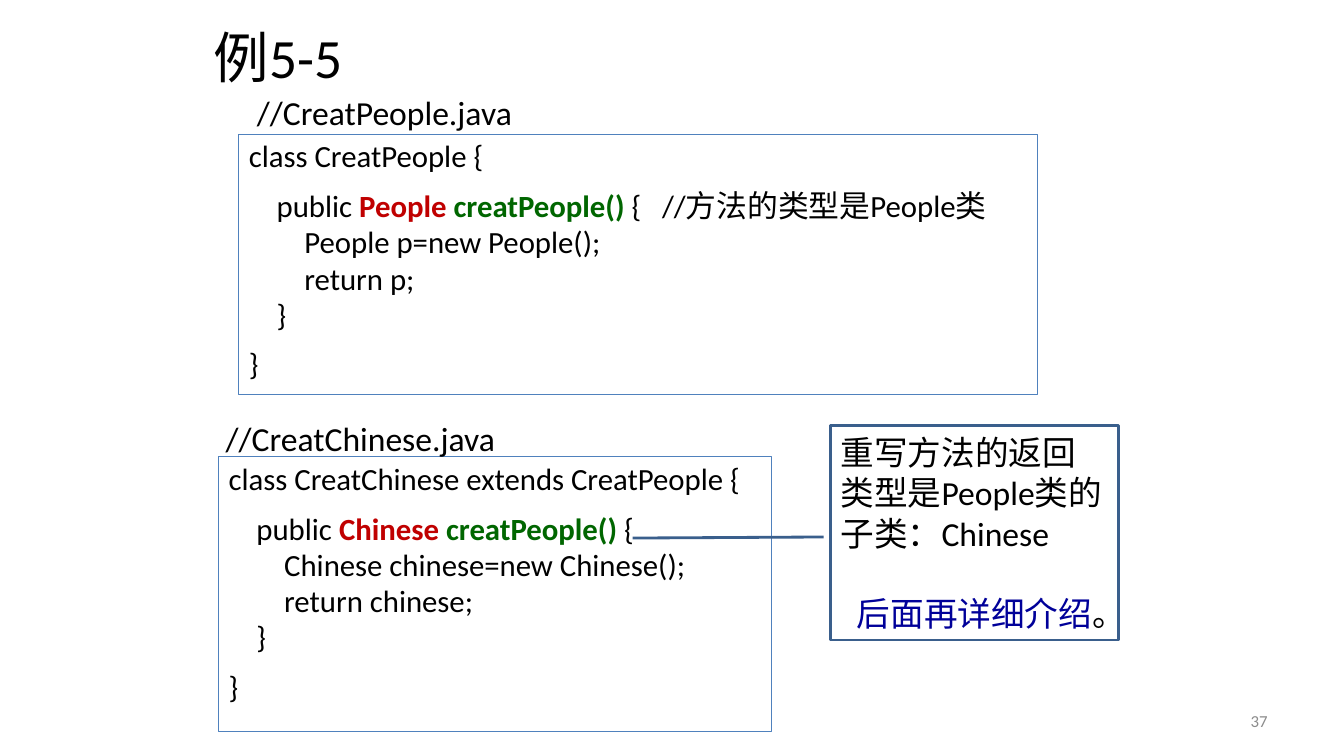
import pptx
import pptx.util
import pptx.dml.color
import pptx.enum.shapes
import pptx.enum.text

Inches = pptx.util.Inches
Pt = pptx.util.Pt
RGBColor = pptx.dml.color.RGBColor
ALIGN = pptx.enum.text.PP_ALIGN
ANCHOR = pptx.enum.text.MSO_ANCHOR
SHAPE = pptx.enum.shapes.MSO_SHAPE

BLACK = RGBColor(0x00, 0x00, 0x00)
RED = RGBColor(0xC0, 0x00, 0x00)
GREEN = RGBColor(0x00, 0x66, 0x00)
NAVY = RGBColor(0x00, 0x00, 0x99)
GRAY = RGBColor(0x8C, 0x8C, 0x8C)
CODE_BORDER = RGBColor(0x4F, 0x81, 0xBD)
CALLOUT_BORDER = RGBColor(0x3A, 0x5F, 0x8C)

LATIN_FONT = "Calibri"
CJK_FONT = "Noto Sans CJK JP"


def add_run(paragraph, text, size, color=BLACK, bold=False, font=LATIN_FONT):
    run = paragraph.add_run()
    run.text = text
    run.font.name = font
    run.font.size = Pt(size)
    run.font.bold = bold
    run.font.color.rgb = color


def add_label(slide, box, text, size, color=BLACK, align=ALIGN.LEFT, anchor=ANCHOR.TOP):
    label = slide.shapes.add_textbox(*map(Inches, box))
    frame = label.text_frame
    frame.word_wrap = True
    frame.vertical_anchor = anchor
    frame.paragraphs[0].alignment = align
    add_run(frame.paragraphs[0], text, size, color)


def add_outlined_shape(slide, kind, box, color, width):
    shape = slide.shapes.add_shape(kind, *map(Inches, box))
    shape.shadow.inherit = False
    shape.fill.background()
    shape.line.color.rgb = color
    shape.line.width = Pt(width)
    shape.text_frame.word_wrap = True
    return shape


def add_class_listing(slide, box, header, return_type, comment, body):
    """Boxed Java class holding one creatPeople method."""
    shape = add_outlined_shape(slide, SHAPE.RECTANGLE, box, CODE_BORDER, 0.75)
    frame = shape.text_frame
    frame.vertical_anchor = ANCHOR.TOP
    signature = [
        ("    public ", BLACK, False),
        (return_type + " ", RED, True),
        ("creatPeople() ", GREEN, True),
        ("{" + comment, BLACK, False),
    ]
    plain_lines = ["        " + statement for statement in body] + ["    }", "}"]
    lines = [[(header, BLACK, False)], signature]
    lines += [[(line, BLACK, False)] for line in plain_lines]
    for index, runs in enumerate(lines):
        paragraph = frame.paragraphs[0] if index == 0 else frame.add_paragraph()
        paragraph.alignment = ALIGN.LEFT
        paragraph.line_spacing = 0.98
        if index in (1, len(lines) - 1):
            paragraph.space_before = Pt(9.6)
        for text, color, bold in runs:
            add_run(paragraph, text, 22, color, bold)


def add_override_callout(slide, box):
    callout = add_outlined_shape(slide, SHAPE.LINE_CALLOUT_1, box, CALLOUT_BORDER, 2)
    for index, value in enumerate((0.52, -0.025, 0.525, -0.69)):
        callout.adjustments[index] = value
    frame = callout.text_frame
    frame.vertical_anchor = ANCHOR.MIDDLE
    rule = frame.paragraphs[0]
    rule.alignment = ALIGN.LEFT
    add_run(rule, "重写方法的返回类型是People类的子类：Chinese", 24)
    outlook = frame.add_paragraph()
    outlook.alignment = ALIGN.CENTER
    outlook.space_before = Pt(29)
    add_run(outlook, "后面再详细介绍", 24, NAVY, font=CJK_FONT)
    add_run(outlook, "。", 24)


def build_example_slide(presentation):
    slide = presentation.slides.add_slide(presentation.slide_layouts[6])
    add_label(slide, (1.9, 0.23, 1.72, 0.65), "例5-5", 39.6,
              align=ALIGN.CENTER, anchor=ANCHOR.MIDDLE)
    add_class_listing(slide, (2.37, 1.33, 7.92, 2.58), "class CreatPeople {", "People",
                      "   //方法的类型是People类", ["People p=new People();", "return p;"])
    add_label(slide, (9.56, 6.95, 3.11, 0.4), "37", 12, GRAY, ALIGN.RIGHT, ANCHOR.MIDDLE)
    add_class_listing(slide, (2.17, 4.53, 5.48, 2.73),
                      "class CreatChinese extends CreatPeople {", "Chinese", "",
                      ["Chinese chinese=new Chinese();", "return chinese;"])
    add_label(slide, (2.45, 0.86, 3.28, 0.5), "//CreatPeople.java", 24)
    add_label(slide, (2.14, 4.1, 3.59, 0.5), "//CreatChinese.java", 24)
    add_override_callout(slide, (8.24, 4.22, 2.85, 2.13))


def main():
    presentation = pptx.Presentation()
    presentation.slide_width = Inches(13.33)
    presentation.slide_height = Inches(7.5)
    build_example_slide(presentation)
    presentation.save("out.pptx")


if __name__ == "__main__":
    main()
